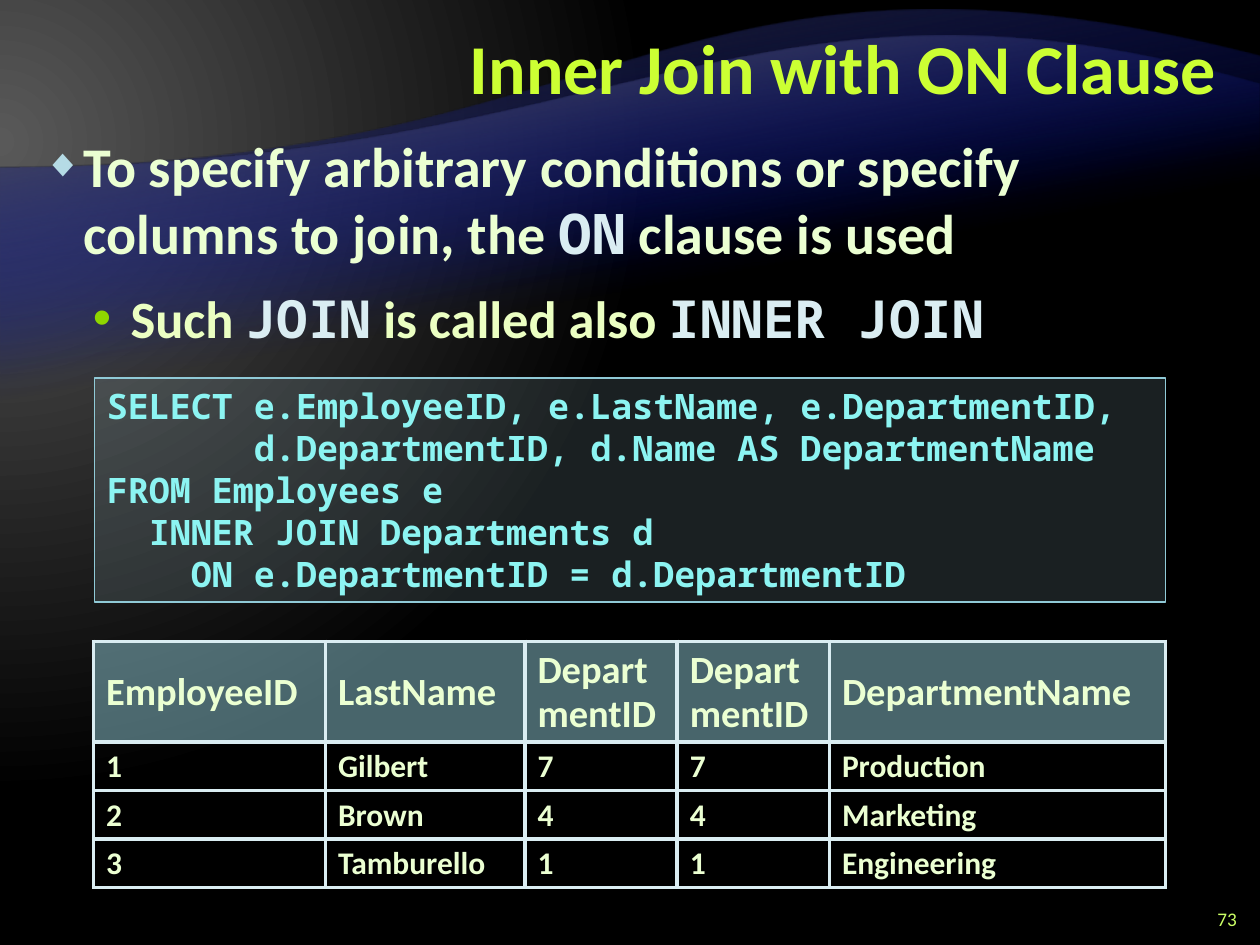
"""Build the slide that explains an inner join with an ON clause."""
from dataclasses import dataclass

from lxml import etree
from pptx import Presentation
from pptx import oxml
from pptx import util as u
from pptx.dml.color import RGBColor
from pptx.enum import shapes, text
from pptx.oxml.ns import qn


@dataclass(frozen=True)
class Theme:
    sans: str = "Calibri"
    mono: str = "Noto Sans Mono"
    title: str = "CCFF33"
    body: str = "EBFFD2"
    detail: str = "EBFFC2"
    keyword: str = "DAEDF2"
    code: str = "8CF4F2"
    number: str = "CCFF66"
    panel: str = "B5DBE5"
    accent: str = "90CAD7"
    bullet: str = "8FD600"
    black: str = "000000"
    glow: str = "595959"
    shade: str = "262626"
    wave: str = "000D9E"
    title_size: int = 40
    body_size: int = 32
    detail_size: int = 30
    code_size: int = 20
    header_size: int = 22
    cell_size: int = 18
    number_size: int = 11


class SlideBuilder:
    def __init__(self, prs, theme):
        self.theme = theme
        self.slide = prs.slides.add_slide(prs.slide_layouts[6])

    def font(self, target, size, color=None, face=None, bold=True):
        target.font.size = u.Pt(size)
        target.font.bold = bold
        target.font.name = face or self.theme.sans
        if color:
            target.font.color.rgb = RGBColor.from_string(color)

    def solid(self, fill, color, alpha):
        fill.solid()
        fill.fore_color.rgb = RGBColor.from_string(color)
        rgb = next(fill._xPr.iter(qn("a:srgbClr")))
        etree.SubElement(rgb, qn("a:alpha"), val=str(alpha * 1000))

    def gradient(self, fill, owner, stops, direction):
        fill.gradient()
        grad = next(owner.iter(qn("a:gradFill")))
        for child in list(grad):
            grad.remove(child)
        stop_list = etree.SubElement(grad, qn("a:gsLst"))
        for position, color, alpha in stops:
            stop = etree.SubElement(stop_list, qn("a:gs"), pos=str(position * 1000))
            rgb = etree.SubElement(stop, qn("a:srgbClr"), val=color)
            etree.SubElement(rgb, qn("a:alpha"), val=str(alpha * 1000))
        grad.append(direction)

    def background(self):
        direction = etree.Element(qn("a:path"), path="circle")
        etree.SubElement(direction, qn("a:fillToRect"), l="20000", t="30000", r="135000", b="100000")
        self.gradient(self.slide.background.fill, self.slide.element,
                      [(0, self.theme.glow, 100), (83, self.theme.black, 100)], direction)

    def wave(self, bottom, start, controls, end, crest_color):
        builder = self.slide.shapes.build_freeform(u.Pt(720), u.Pt(bottom))
        builder.add_line_segments([(u.Pt(x), u.Pt(y)) for x, y in ((0, bottom), (0, start), (720, end))])
        wave = builder.convert_to_shape()
        crest = list(wave.element.iter(qn("a:lnTo")))[2]
        crest.tag = qn("a:cubicBezTo")
        for index, (x, y) in enumerate(controls):
            point = etree.Element(qn("a:pt"), x=str(u.Pt(x)), y=str(u.Pt(y - end)))
            crest.insert(index, point)
        wave.shadow.inherit = False
        wave.line.fill.background()
        direction = etree.Element(qn("a:lin"), ang=str(260 * 60000), scaled="0")
        self.gradient(wave.fill, wave.element,
                      [(65, self.theme.wave, 0), (100, crest_color, 100)], direction)

    def box(self, left, top, width, height, anchor=text.MSO_ANCHOR.TOP):
        frame = self.slide.shapes.add_textbox(*map(u.Pt, (left, top, width, height))).text_frame
        frame.word_wrap = True
        frame.vertical_anchor = anchor
        return frame

    def label(self, area, words, size, color, bold=True, spacing=None):
        paragraph = self.box(*area, anchor=text.MSO_ANCHOR.MIDDLE).paragraphs[0]
        paragraph.text = words
        paragraph.alignment = text.PP_ALIGN.RIGHT
        if spacing:
            paragraph.line_spacing = u.Pt(spacing)
        self.font(paragraph, size, color, bold=bold)

    def bullet(self, paragraph, parts, level, margin, hang, spacing, before, mark, mark_color, mark_size, size, color):
        paragraph.level = level
        paragraph.line_spacing = u.Pt(spacing)
        paragraph.space_before = u.Pt(before)
        paragraph.space_after = u.Pt(6)
        props = paragraph._p.get_or_add_pPr()
        props.set("marL", str(u.Pt(margin)))
        props.set("indent", str(-u.Pt(hang)))
        bullet_color = etree.SubElement(props, qn("a:buClr"))
        etree.SubElement(bullet_color, qn("a:srgbClr"), val=mark_color)
        etree.SubElement(props, qn("a:buSzPct"), val=str(mark_size * 1000))
        etree.SubElement(props, qn("a:buFont"), typeface="Arial")
        etree.SubElement(props, qn("a:buChar"), char=mark)
        for index, part in enumerate(parts):
            run = paragraph.add_run()
            run.text = part
            if index % 2:
                self.font(run, size, self.theme.keyword, self.theme.mono)
            else:
                self.font(run, size, color)

    def code(self, left, top, width, height, lines):
        panel = self.slide.shapes.add_shape(
            shapes.MSO_SHAPE.RECTANGLE, *map(u.Pt, (left, top, width, height)))
        panel.shadow.inherit = False
        self.solid(panel.fill, self.theme.panel, 15)
        panel.line.color.rgb = RGBColor.from_string(self.theme.accent)
        panel.line.width = u.Pt(1)
        frame = panel.text_frame
        frame.word_wrap = True
        frame.vertical_anchor = text.MSO_ANCHOR.TOP
        frame.text = "\n".join(lines)
        for paragraph in frame.paragraphs:
            paragraph.alignment = text.PP_ALIGN.LEFT
            paragraph.line_spacing = u.Pt(24)
            self.font(paragraph, self.theme.code_size, self.theme.code, self.theme.mono)

    def borders(self, cell):
        props = cell._tc.get_or_add_tcPr()
        for index, side in enumerate(("lnL", "lnR", "lnT", "lnB")):
            line = etree.Element(qn(f"a:{side}"), w=str(u.Pt(2.25)))
            fill = etree.SubElement(line, qn("a:solidFill"))
            etree.SubElement(fill, qn("a:srgbClr"), val=self.theme.keyword)
            props.insert(index, line)

    def table(self, left, top, widths, heights, rows):
        area = map(u.Pt, (left, top, sum(widths), sum(heights)))
        table = self.slide.shapes.add_table(len(rows), len(widths), *area).table
        table.first_row = table.horz_banding = False
        for column, width in zip(table.columns, widths):
            column.width = u.Pt(width)
        for row_index, (row, height, values) in enumerate(zip(table.rows, heights, rows)):
            row.height = u.Pt(height)
            for cell, value in zip(row.cells, values):
                cell.text = value
                cell.vertical_anchor = text.MSO_ANCHOR.MIDDLE
                if row_index == 0:
                    self.solid(cell.fill, self.theme.accent, 50)
                else:
                    cell.fill.background()
                self.borders(cell)
                paragraph = cell.text_frame.paragraphs[0]
                paragraph.line_spacing = 0.95
                size = self.theme.cell_size if row_index else self.theme.header_size
                self.font(paragraph, size, self.theme.body)


def main():
    prs = Presentation()
    prs.slide_width, prs.slide_height = u.Pt(720), u.Pt(540)
    theme = Theme()
    page = SlideBuilder(prs, theme)
    page.background()
    page.wave(470, 96, [(360, 96), (384.5, -54)], 32.4, theme.shade)
    page.wave(401, 96, [(360, 96), (430.5, -35.3)], 48.2, theme.glow)
    page.label((144, 6, 558, 72), "Inner Join with ON Clause", theme.title_size, theme.title, spacing=40)

    body = page.box(18, 72, 677, 442)
    page.bullet(body.paragraphs[0],
                ["To specify arbitrary conditions or specify columns to join, the ", "ON", " clause is used"],
                0, 22.5, 22.5, 38, 0, "◆", theme.panel, 70, theme.body_size, theme.body)
    page.bullet(body.add_paragraph(), ["Such ", "JOIN", " is called also ", "INNER JOIN"],
                1, 49.5, 21.5, 36, 6, "•", theme.bullet, 100, theme.detail_size, theme.detail)

    page.label((678, 516, 36, 18), "73", theme.number_size, theme.number, bold=False)
    page.code(54, 216, 612, 128, [
        "SELECT e.EmployeeID, e.LastName, e.DepartmentID,",
        "       d.DepartmentID, d.Name AS DepartmentName",
        "FROM Employees e",
        "  INNER JOIN Departments d",
        "    ON e.DepartmentID = d.DepartmentID",
    ])
    page.table(53.5, 366.5, [132.5, 114, 87, 87, 192], [57.5] + [27.7] * 3, [
        ["EmployeeID", "LastName", "DepartmentID", "DepartmentID", "DepartmentName"],
        ["1", "Gilbert", "7", "7", "Production"],
        ["2", "Brown", "4", "4", "Marketing"],
        ["3", "Tamburello", "1", "1", "Engineering"],
    ])
    prs.save("out.pptx")


if __name__ == "__main__":
    main()
